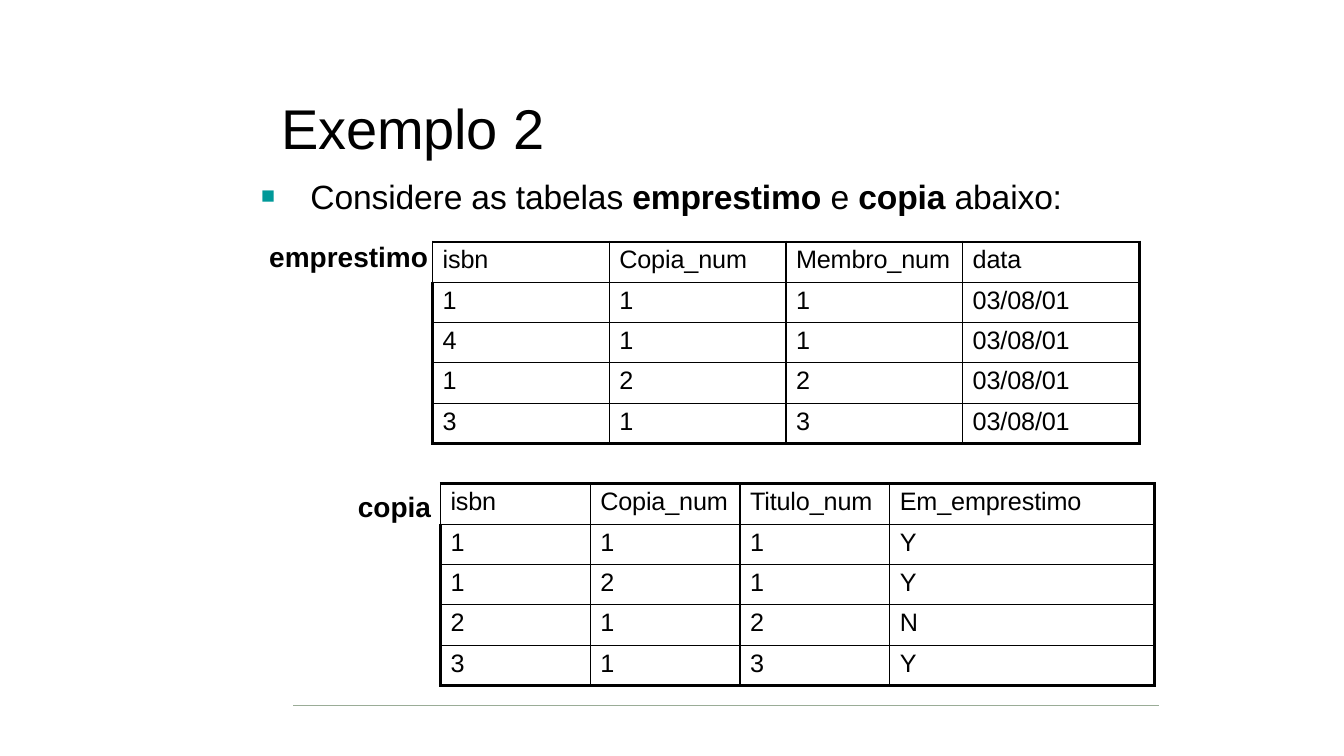
from pptx import Presentation
from pptx import util as u
from pptx.dml.color import RGBColor
from pptx.enum import shapes, text
from pptx.oxml import ns, xmlchemy

Pt = u.Pt


def colour(value):
    return RGBColor.from_string(value)


def add_xml(parent, tag, **values):
    element = xmlchemy.OxmlElement(tag)
    for name, value in values.items():
        element.set(name, str(value))
    parent.append(element)
    return element


class SlideBuilder:
    FONT = "Arial"
    INK = "000000"
    ACCENT = "009999"
    RULE = "9AAC97"
    TIGHT = -10

    def __init__(self, page):
        self.page = page

    def set_frame(self, frame, top=1):
        settings = {"margin_left": 0, "margin_right": 0, "margin_bottom": 0,
                    "margin_top": Pt(top), "word_wrap": True,
                    "vertical_anchor": text.MSO_ANCHOR.TOP,
                    "auto_size": text.MSO_AUTO_SIZE.SHAPE_TO_FIT_TEXT}
        for name, value in settings.items():
            setattr(frame, name, value)

    def add_spans(self, para, spans, size, spacing=0):
        for wording, bold in spans:
            span = para.add_run()
            span.text = wording
            formats = {"name": self.FONT, "size": Pt(size), "bold": bold}
            for name, value in formats.items():
                setattr(span.font, name, value)
            span.font.color.rgb = colour(self.INK)
            if spacing:
                span.font._element.set("spc", str(spacing))

    def set_indent(self, para, left, first=0):
        properties = para._p.get_or_add_pPr()
        properties.set("marL", str(Pt(left)))
        properties.set("indent", str(Pt(first)))
        return properties

    def set_bullet(self, para, left, first):
        properties = self.set_indent(para, left, first)
        tint = add_xml(properties, "a:buClr")
        add_xml(tint, "a:srgbClr", val=self.ACCENT)
        add_xml(properties, "a:buSzPct", val=69000)
        add_xml(properties, "a:buFont", typeface=self.FONT)
        add_xml(properties, "a:buChar", char="■")

    def title(self, wording, left, top, width, height):
        box = self.page.shapes.title
        place = {"left": left, "top": top, "width": width, "height": height}
        for name, value in place.items():
            setattr(box, name, Pt(value))
        self.set_frame(box.text_frame)
        para = box.text_frame.paragraphs[0]
        para.alignment = text.PP_ALIGN.CENTER
        self.add_spans(para, [(wording, False)], 40, self.TIGHT)

    def text_box(self, left, top, width, height):
        box = self.page.shapes.add_textbox(Pt(left), Pt(top), Pt(width), Pt(height))
        self.set_frame(box.text_frame)
        return box.text_frame

    def rule(self, left, right, top):
        line = self.page.shapes.add_connector(
            shapes.MSO_CONNECTOR.STRAIGHT, Pt(left), Pt(top), Pt(right), Pt(top))
        line.line.color.rgb = colour(self.RULE)
        line.line.width = Pt(1)
        add_xml(line._element.spPr, "a:effectLst")

    def set_borders(self, cell, thick):
        properties = cell._tc.get_or_add_tcPr()
        for position, (side, heavy) in enumerate(thick.items()):
            border = xmlchemy.OxmlElement(f"a:ln{side}")
            border.set("w", str(Pt(2.25 if heavy else 1)))
            fill = add_xml(border, "a:solidFill")
            add_xml(fill, "a:srgbClr", val=self.INK)
            properties.insert(position, border)

    def table(self, rows, left, top, widths, row_height=28.8):
        last_row, last_column = len(rows) - 1, len(widths) - 1
        frame = self.page.shapes.add_table(
            len(rows), len(widths), Pt(left), Pt(top),
            Pt(sum(widths)), Pt(row_height * len(rows)))
        grid = frame.table
        grid.first_row = grid.horz_banding = False
        for column, width in zip(grid.columns, widths):
            column.width = Pt(width)
        for r, values in enumerate(rows):
            grid.rows[r].height = Pt(row_height)
            for c, value in enumerate(values):
                cell = grid.cell(r, c)
                margins = {"margin_left": 0, "margin_right": 0,
                           "margin_top": Pt(3), "margin_bottom": 0}
                for name, amount in margins.items():
                    setattr(cell, name, amount)
                cell.fill.background()
                para = cell.text_frame.paragraphs[0]
                self.set_indent(para, 7.2)
                spacing = self.TIGHT if len(value) > 1 else 0
                self.add_spans(para, [(value, False)], 18, spacing)
                self.set_borders(cell, {"L": c == 0 and r > 0,
                                        "R": c == last_column,
                                        "T": r == 0, "B": r == last_row})


def main():
    deck = Presentation()
    deck.slide_width, deck.slide_height = Pt(960), Pt(540)
    page = deck.slides.add_slide(deck.slide_layouts[5])
    builder = SlideBuilder(page)

    # Title and footer line
    builder.title("Exemplo 2", 199.5, 65.5, 190.8, 49.7)
    builder.rule(209.5, 828, 504)

    # Loans table
    day = "03/08/01"
    builder.table([["isbn", "Copia_num", "Membro_num", "data"],
                   ["1", "1", "1", day],
                   ["4", "1", "1", day],
                   ["1", "2", "2", day],
                   ["3", "1", "3", day]], 309, 172.8, [126.2] * 4)

    # Introduction and loans label
    frame = builder.text_box(185.8, 124.6, 579, 71.3)
    intro = frame.paragraphs[0]
    builder.set_bullet(intro, 36, -35.3)
    builder.add_spans(intro, [("Considere as tabelas ", False),
                              ("emprestimo ", True), ("e ", False),
                              ("copia ", True), ("abaixo:", False)],
                      24, builder.TIGHT)
    label = frame.add_paragraph()
    builder.set_indent(label, 6.5)
    label.space_before = Pt(16.6)
    builder.add_spans(label, [("emprestimo", True)], 20)

    # Copies table and label
    builder.table([["isbn", "Copia_num", "Titulo_num", "Em_emprestimo"],
                   ["1", "1", "1", "Y"],
                   ["1", "2", "1", "Y"],
                   ["2", "1", "2", "N"],
                   ["3", "1", "3", "Y"]], 314.6, 345.6, [107, 107, 107, 189.4])
    frame = builder.text_box(254.9, 348.5, 54, 25.9)
    builder.set_indent(frame.paragraphs[0], 0.7)
    builder.add_spans(frame.paragraphs[0], [("copia", True)], 20)

    deck.save("out.pptx")


if __name__ == "__main__":
    main()
